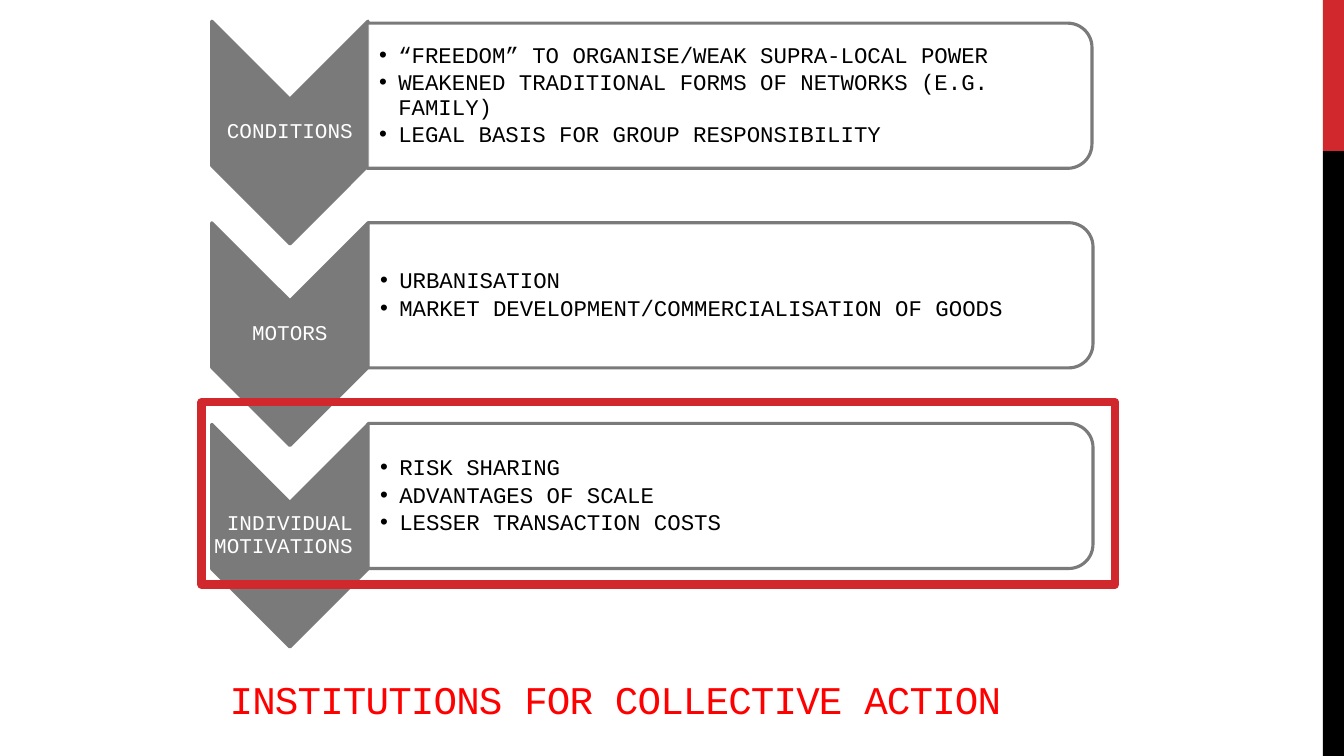
from lxml.etree import SubElement
from pptx import Presentation
from pptx.dml.color import RGBColor
from pptx.enum.shapes import MSO_SHAPE
from pptx.enum.text import MSO_ANCHOR, PP_ALIGN
from pptx.oxml.ns import qn
from pptx.util import Inches, Pt

RED = RGBColor(0xD1, 0x28, 0x2E)
TITLE_RED = RGBColor(0xFF, 0x00, 0x00)
GREY = RGBColor(0x7A, 0x7A, 0x7A)
BLACK = RGBColor(0x00, 0x00, 0x00)
WHITE = RGBColor(0xFF, 0xFF, 0xFF)

STAGES = [
    ("CONDITIONS", 3.64, 0.95, [
        "“FREEDOM” TO ORGANISE/WEAK SUPRA-LOCAL POWER",
        "WEAKENED TRADITIONAL FORMS OF NETWORKS (E.G. FAMILY)",
        "LEGAL BASIS FOR GROUP RESPONSIBILITY",
    ]),
    ("MOTORS", 3.65, 2.93, [
        "URBANISATION",
        "MARKET DEVELOPMENT/COMMERCIALISATION OF GOODS",
    ]),
    ("INDIVIDUAL MOTIVATIONS ", 3.65, 4.92, [
        "RISK SHARING",
        "ADVANTAGES OF SCALE",
        "LESSER TRANSACTION COSTS",
    ]),
]
CHEVRON_TOP = 0.54
CHEVRON_PITCH = 2.0


class SlideBuilder:
    font_name = "Courier New"

    def __init__(self, slide):
        self.slide = slide

    def shape(self, kind, left, top, width, height, fill=None, line=None,
              line_width=2.25, rotation=0, opacity=100):
        shape = self.slide.shapes.add_shape(
            kind, Inches(left), Inches(top), Inches(width), Inches(height))
        shape.shadow.inherit = False
        shape.rotation = rotation
        if fill is None:
            shape.fill.background()
        else:
            shape.fill.solid()
            shape.fill.fore_color.rgb = fill
            if opacity < 100:
                color = shape.fill._xPr.find(qn("a:solidFill"))[0]
                SubElement(color, qn("a:alpha"), val=str(opacity * 1000))
        if line is None:
            shape.line.fill.background()
        else:
            shape.line.color.rgb = line
            shape.line.width = Pt(line_width)

    def text(self, lines, left, top, width, height, size, color, anchor,
             margins, align=PP_ALIGN.LEFT, line_spacing=1.0, space_after=0):
        box = self.slide.shapes.add_textbox(
            Inches(left), Inches(top), Inches(width), Inches(height))
        frame = box.text_frame
        frame.word_wrap = True
        frame.vertical_anchor = anchor
        (frame.margin_left, frame.margin_top, frame.margin_right,
         frame.margin_bottom) = map(Inches, margins)
        frame.text = "\n".join(lines)
        for paragraph in frame.paragraphs:
            paragraph.alignment = align
            paragraph.line_spacing = line_spacing
            paragraph.space_after = Pt(space_after)
            for run in paragraph.runs:
                run.font.name = self.font_name
                run.font.size = Pt(size)
                run.font.color.rgb = color
        return frame

    def title(self, text):
        frame = self.text([text], 2.18, 6.27, 8.36, 0.95, 28, TITLE_RED,
                          MSO_ANCHOR.BOTTOM, (0.1, 0.05, 0.1, 0.05))
        run = frame.paragraphs[0].runs[0]
        run.font._element.set("spc", "-60")

    def chevron(self, label, top):
        self.shape(MSO_SHAPE.CHEVRON, 1.77, top, 2.21, 1.55, GREY, GREY,
                   rotation=90)
        self.text([label], 2.1, top + 0.44, 1.55, 0.66, 15, WHITE,
                  MSO_ANCHOR.MIDDLE, (0.01,) * 4, PP_ALIGN.CENTER, 0.9)

    def panel(self, bullets, left, middle):
        length, thickness = 7.19, 1.44
        self.shape(MSO_SHAPE.ROUND_2_SAME_RECTANGLE,
                   left + (length - thickness) / 2, middle - length / 2,
                   thickness, length, WHITE, GREY, rotation=90, opacity=90)
        frame = self.text(bullets, left, middle - 0.65, 7.12, 1.3, 16, BLACK,
                          MSO_ANCHOR.MIDDLE, (0.12, 0.01, 0.01, 0.01),
                          line_spacing=0.9, space_after=2.4)
        for paragraph in frame.paragraphs:
            properties = paragraph._p.get_or_add_pPr()
            properties.set("marL", str(Inches(0.19)))
            properties.set("indent", str(-Inches(0.19)))
            SubElement(properties, qn("a:buFont"), typeface="Arial")
            SubElement(properties, qn("a:buChar"), char="•")


def main():
    presentation = Presentation()
    presentation.slide_width = Inches(13.33)
    presentation.slide_height = Inches(7.5)
    slide = presentation.slides.add_slide(presentation.slide_layouts[6])
    builder = SlideBuilder(slide)

    builder.shape(MSO_SHAPE.RECTANGLE, 13.12, 0, 0.21, 1.5, RED)
    builder.shape(MSO_SHAPE.RECTANGLE, 13.12, 1.5, 0.21, 6, BLACK)
    builder.title("INSTITUTIONS FOR COLLECTIVE ACTION")
    for index, (label, panel_left, panel_middle, bullets) in enumerate(STAGES):
        builder.chevron(label, CHEVRON_TOP + index * CHEVRON_PITCH)
        builder.panel(bullets, panel_left, panel_middle)
    builder.shape(MSO_SHAPE.RECTANGLE, 2, 3.99, 9.06, 1.81, line=RED,
                  line_width=6)

    presentation.save("out.pptx")


if __name__ == "__main__":
    main()
